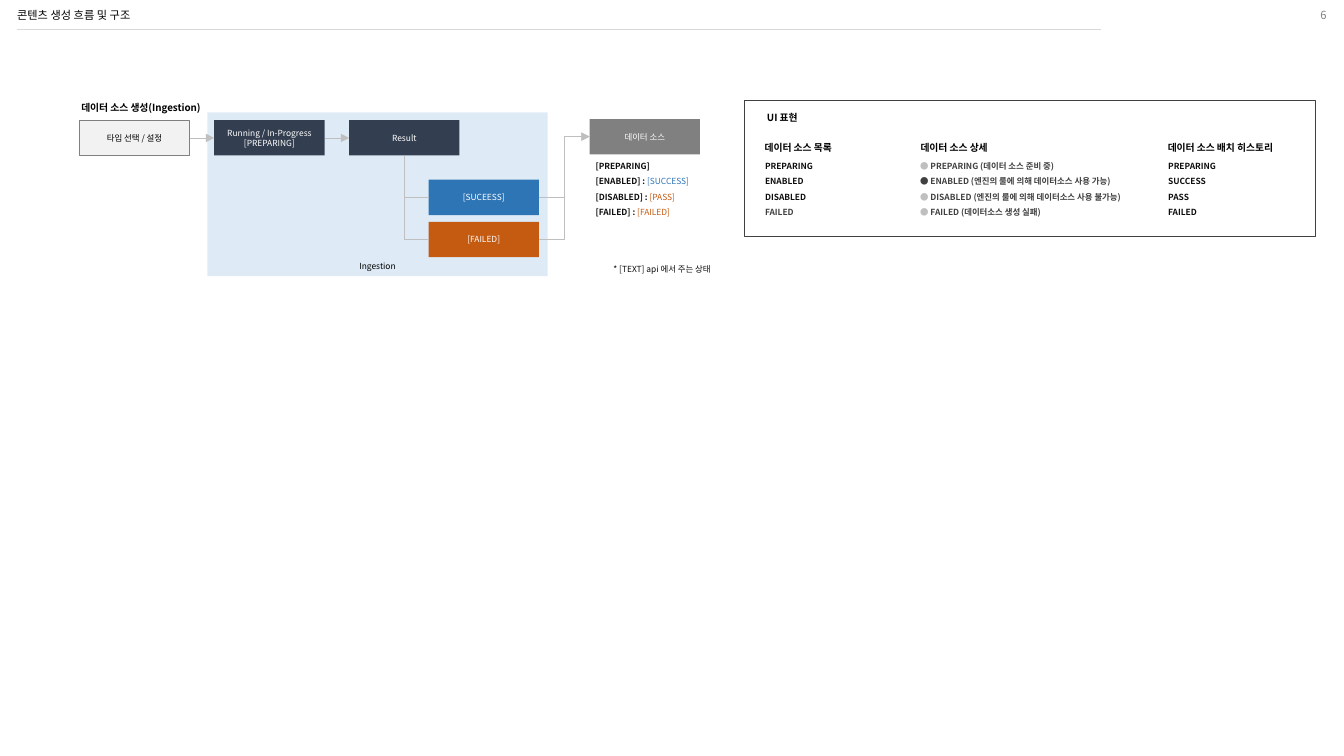
from lxml import etree
from pptx import Presentation
from pptx import util as u
from pptx.dml.color import RGBColor
from pptx.enum import shapes, text
from pptx.oxml.ns import qn

COLOURS = {
    "black": "000000", "ink": "0D0D0D", "dark": "404040", "grey": "808080",
    "line": "BFBFBF", "rule": "D9D9D9", "pale": "F2F2F2", "white": "FFFFFF",
    "sky": "DEEBF7", "navy": "333F50", "blue": "2E75B6", "orange": "C55A11",
}
LEFT, BOTTOM, RIGHT = 1, 2, 3
TOP_ANCHOR = text.MSO_ANCHOR.TOP
MIDDLE = text.MSO_ANCHOR.MIDDLE
CENTER = text.PP_ALIGN.CENTER
ALIGN_RIGHT = text.PP_ALIGN.RIGHT


class FlowSlide:
    """Draws styled elements on one slide, with lengths in centimetres."""

    font = "Noto Sans CJK KR"
    box_size = (2.78, 0.89)

    def __init__(self, slide):
        self.slide = slide

    def colour(self, name):
        return RGBColor.from_string(COLOURS[name])

    def set_text(self, shape, paragraphs, size=6, align=None, spacing=None,
                 anchor=TOP_ANCHOR, insets=None):
        frame = shape.text_frame
        frame.word_wrap = True
        frame.vertical_anchor = anchor
        if insets:
            (frame.margin_left, frame.margin_top,
             frame.margin_right, frame.margin_bottom) = map(u.Cm, insets)
        for index, pieces in enumerate(paragraphs):
            paragraph = frame.paragraphs[0] if index == 0 else frame.add_paragraph()
            paragraph.alignment = align
            paragraph.line_spacing = spacing
            for words, colour, bold in pieces:
                run = paragraph.add_run()
                run.text = words
                run.font.size = u.Pt(size)
                run.font.bold = bold
                run.font.name = self.font
                run.font.color.rgb = self.colour(colour)
                east_asian = etree.SubElement(run.font._element, qn("a:ea"))
                east_asian.set("typeface", self.font)

    def rectangle(self, left, top, width, height, fill=None, line=None):
        shape = self.slide.shapes.add_shape(
            shapes.MSO_SHAPE.RECTANGLE, *map(u.Cm, (left, top, width, height)))
        shape.shadow.inherit = False
        if fill:
            shape.fill.solid()
            shape.fill.fore_color.rgb = self.colour(fill)
        else:
            shape.fill.background()
        if line:
            shape.line.color.rgb = self.colour(line)
            shape.line.width = u.Pt(0.5)
        else:
            shape.line.fill.background()
        return shape

    def step(self, left, top, lines, fill, colour="white", line=None):
        shape = self.rectangle(left, top, *self.box_size, fill, line)
        self.set_text(shape, [[(words, colour, False)] for words in lines],
                      align=CENTER, anchor=MIDDLE)
        return shape

    def textbox(self, left, top, width, height, paragraphs, **style):
        shape = self.slide.shapes.add_textbox(*map(u.Cm, (left, top, width, height)))
        self.set_text(shape, paragraphs, **style)

    def heading(self, left, top, words):
        self.textbox(left, top, 3.94, 0.74, [[(words, "black", True)]],
                     size=7, spacing=1.5)

    def listing(self, left, paragraphs, width=3.45, height=1.22):
        self.textbox(left, 3.94, width, height, paragraphs, spacing=1.5,
                     insets=(0, 0, 0.1, 0))

    def connector(self, kind, ends=(0, 0, 0, 0), colour="line", width=0.5):
        connector = self.slide.shapes.add_connector(kind, *map(u.Cm, ends))
        connector.line.color.rgb = self.colour(colour)
        connector.line.width = u.Pt(width)
        etree.SubElement(connector._element.spPr, qn("a:effectLst"))
        return connector

    def link(self, kind, start, end):
        connector = self.connector(kind)
        connector.begin_connect(start, RIGHT)
        connector.end_connect(end, LEFT)
        outline = connector._element.spPr.find(qn("a:ln"))
        etree.SubElement(outline, qn("a:tailEnd")).set("type", "triangle")

    def branch(self, start, end):
        connector = self.connector(shapes.MSO_CONNECTOR.ELBOW)
        connector.begin_connect(start, BOTTOM)
        connector.end_connect(end, LEFT)
        across, down = connector.width, connector.height
        connector.left += (across - down) // 2
        connector.top += (down - across) // 2
        connector.width, connector.height = down, across
        properties = connector._element.spPr
        frame = properties.find(qn("a:xfrm"))
        frame.set("rot", "16200000")
        frame.set("flipH", "1")
        properties.find(qn("a:prstGeom")).set("prst", "bentConnector2")


def draw_header(page):
    page.connector(shapes.MSO_CONNECTOR.STRAIGHT, (0.43, 0.74, 27.74, 0.74), "rule", 0.25)
    page.textbox(0.43, 0.08, 27.3, 0.64, [[("콘텐츠 생성 흐름 및 구조", "black", False)]],
                 size=8, spacing=0.9, anchor=MIDDLE, insets=(0, 0, 0, 0))
    page.textbox(32.21, 0, 1.22, 0.74, [[("6", "grey", False)]],
                 size=8, align=ALIGN_RIGHT, anchor=MIDDLE, insets=(0, 0, 0, 0))


def draw_flow(page):
    area = page.rectangle(5.23, 2.83, 8.57, 4.13, "sky")
    page.set_text(area, [[("Ingestion", "black", False)]], align=CENTER,
                  anchor=text.MSO_ANCHOR.BOTTOM)
    page.heading(1.8, 2.29, "데이터 소스 생성(Ingestion)")
    columns = [2 + 3.4 * index for index in range(3)]
    setting = page.step(columns[0], 3.03, ["타입 선택 / 설정"], "pale", "black", "grey")
    running = page.step(columns[1], 3.03, ["Running / In-Progress", "[PREPARING]"], "navy")
    result = page.step(columns[2], 3.03, ["Result"], "navy")
    source = page.step(14.86, 3, ["데이터 소스"], "grey")
    page.link(shapes.MSO_CONNECTOR.STRAIGHT, setting, running)
    page.link(shapes.MSO_CONNECTOR.STRAIGHT, running, result)
    for top, label, fill in ((4.53, "[SUCEESS]", "blue"), (5.59, "[FAILED]", "orange")):
        outcome = page.step(10.8, top, [label], fill)
        page.branch(result, outcome)
        page.link(shapes.MSO_CONNECTOR.ELBOW, outcome, source)
    states = [("[ENABLED] : ", "[SUCCESS]", "blue"),
              ("[DISABLED] : ", "[PASS]", "orange"),
              ("[FAILED] : ", "[FAILED]", "orange")]
    page.listing(15.01, [[("[PREPARING]", "ink", True)]] + [
        [(state, "ink", True), (reply, colour, False)] for state, reply, colour in states])
    page.textbox(15.01, 6.53, 2.9, 0.43, [[("* [TEXT] api 에서 주는 상태", "ink", False)]],
                 align=ALIGN_RIGHT, spacing=1.5, insets=(0, 0, 0, 0))


def draw_display_panel(page):
    page.rectangle(18.75, 2.54, 14.4, 3.43, line="dark")
    page.heading(19.08, 2.54, "UI 표현")
    page.heading(19.02, 3.3, "데이터 소스 목록")
    page.heading(22.95, 3.3, "데이터 소스 상세")
    page.heading(29.18, 3.3, "데이터 소스 배치 히스토리")
    page.listing(19.28, [[(state, "ink", True)] for state in
                         ("PREPARING", "ENABLED", "DISABLED")] + [[("FAILED", "dark", True)]])
    page.listing(29.44, [[(state, "ink", True)] for state in
                         ("PREPARING", "SUCCESS", "PASS", "FAILED")])
    details = [("line", "PREPARING (데이터 소스 준비 중)"),
               ("dark", "ENABLED (엔진의 룰에 의해 데이터소스 사용 가능)"),
               ("line", "DISABLED (엔진의 룰에 의해 데이터소스 사용 불가능)"),
               ("line", "FAILED (데이터소스 생성 실패)")]
    page.listing(23.19, [[("● ", dot, True), (words, "dark", True)] for dot, words in details],
                 width=5.26, height=1.55)


def main():
    presentation = Presentation()
    presentation.slide_width = u.Cm(33.87)
    presentation.slide_height = u.Cm(19.05)
    page = FlowSlide(presentation.slides.add_slide(presentation.slide_layouts[6]))
    draw_header(page)
    draw_flow(page)
    draw_display_panel(page)
    presentation.save("out.pptx")


if __name__ == "__main__":
    main()
